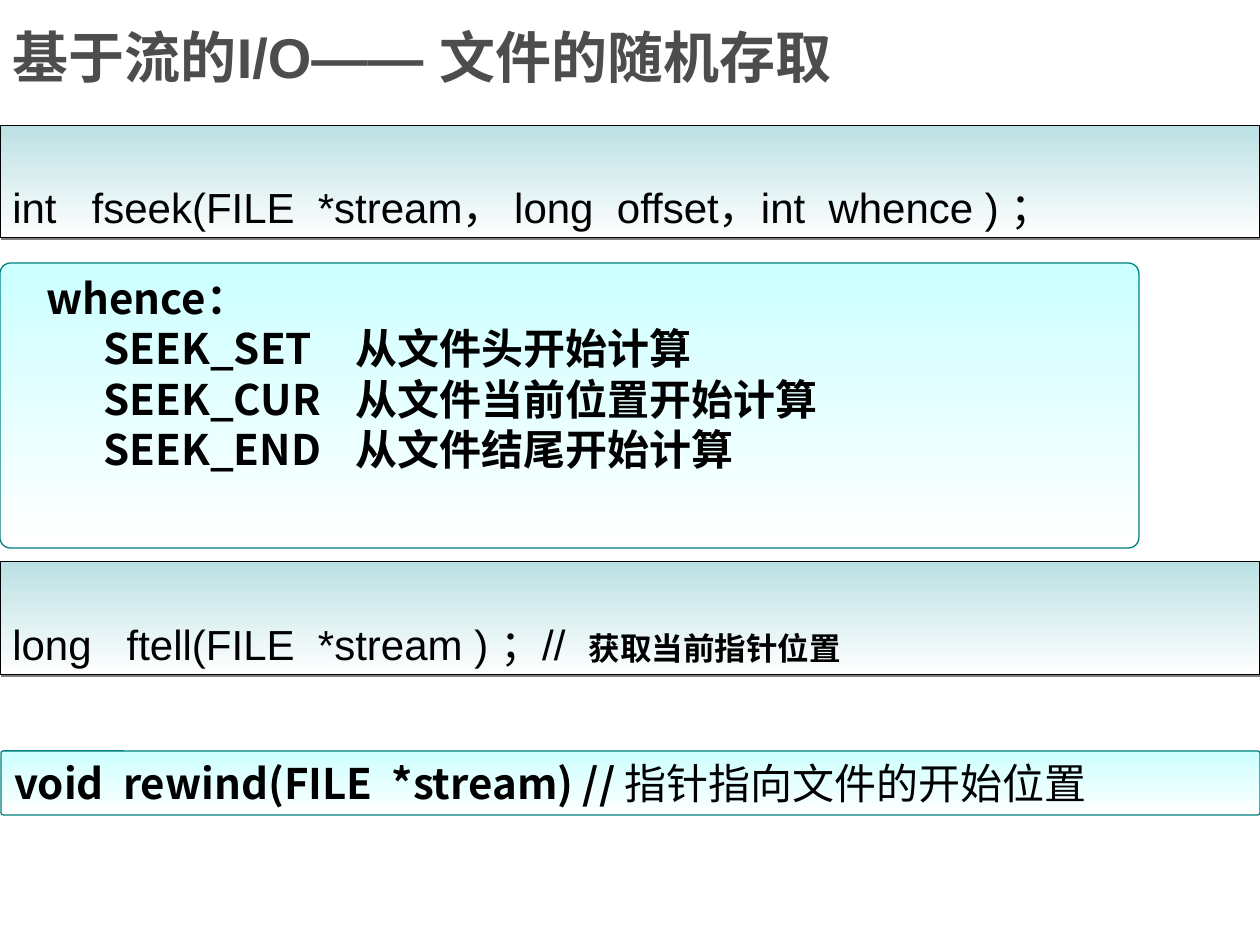
from lxml import etree
from pptx import Presentation, util as u
from pptx.dml.color import RGBColor
from pptx.enum import shapes, text
from pptx.oxml import parse_xml
from pptx.oxml.ns import nsdecls, qn

PX = u.Inches(1) // 126
CJK = "Noto Sans CJK SC"


def rgb(value):
    return RGBColor.from_string(value)


class SlideWriter:
    code_style = ("BBE0E3", "000000", 0.5)
    note_style = ("CCFFFF", "008080", 0.75)

    def __init__(self, slide):
        self.slide = slide

    def place(self, shape, box):
        shape.left, shape.top, shape.width, shape.height = [v * PX for v in box]

    def run(self, paragraph, words, size=24, latin="Arial", bold=False, color="000000"):
        run = paragraph.add_run()
        run.text = words
        font = run.font
        font.size, font.name, font.bold = u.Pt(size), latin, bold
        font.color.rgb = rgb(color)
        east = etree.SubElement(run._r.get_or_add_rPr(), qn("a:ea"))
        east.set("typeface", CJK)

    def title(self, words, box):
        heading = self.slide.shapes.title
        self.place(heading, box)
        frame = heading.text_frame
        frame.vertical_anchor = text.MSO_ANCHOR.BOTTOM
        frame.auto_size = text.MSO_AUTO_SIZE.NONE
        frame.paragraphs[0].alignment = text.PP_ALIGN.LEFT
        self.run(frame.paragraphs[0], words, 32, bold=True, color="4D4D4D")

    def panel(self, kind, box, style):
        top_color, line_color, line_width = style
        panel = self.slide.shapes.add_shape(kind, 0, 0, PX, PX)
        self.place(panel, box)
        panel.shadow.inherit = False
        panel.fill.gradient()
        panel.fill.gradient_angle = 270
        for stop, color, position in zip(panel.fill.gradient_stops, (top_color, "FFFFFF"), (0, 1)):
            stop.color.rgb = rgb(color)
            stop.position = position
        panel.line.color.rgb = rgb(line_color)
        panel.line.width = u.Pt(line_width)
        frame = panel.text_frame
        frame.word_wrap = True
        frame.vertical_anchor = text.MSO_ANCHOR.TOP
        frame.paragraphs[0].alignment = text.PP_ALIGN.LEFT
        return panel

    def code_panel(self, box):
        panel = self.panel(shapes.MSO_SHAPE.RECTANGLE, box, self.code_style)
        effects = panel._element.spPr.find(qn("a:effectLst"))
        effects.append(parse_xml(
            f'<a:outerShdw {nsdecls("a")} dist="17780" dir="2700000" algn="ctr" rotWithShape="0">'
            '<a:srgbClr val="808080"/></a:outerShdw>'))
        paragraph = panel.text_frame.paragraphs[0]
        paragraph.line_spacing = 2.0
        return paragraph

    def note_panel(self, box):
        panel = self.panel(shapes.MSO_SHAPE.ROUNDED_RECTANGLE, box, self.note_style)
        panel.adjustments[0] = 0.037
        return panel.text_frame

    def indent(self, paragraph, left, tab=None):
        properties = paragraph._p.get_or_add_pPr()
        properties.set("marL", str(left * PX))
        properties.set("indent", "0")
        if tab:
            stops = etree.SubElement(properties, qn("a:tabLst"))
            etree.SubElement(stops, qn("a:tab"), pos=str(tab * PX), algn="l")


def main():
    deck = Presentation()
    deck.slide_width, deck.slide_height = 1260 * PX, 945 * PX
    writer = SlideWriter(deck.slides.add_slide(deck.slide_layouts[5]))

    writer.title("基于流的I/O—— 文件的随机存取", (0, 0, 997, 96))

    fseek = writer.code_panel((0, 125, 1260, 113))
    writer.run(fseek, "int   fseek(FILE  *stream， long  offset，int  whence ) ；")

    whence = writer.note_panel((0, 263, 1139, 285))
    writer.indent(whence.paragraphs[0], 31)
    writer.run(whence.paragraphs[0], "whence：", latin=CJK, bold=True)
    for origin, meaning in (
        ("SEEK_SET", "从文件头开始计算"),
        ("SEEK_CUR", "从文件当前位置开始计算"),
        ("SEEK_END", "从文件结尾开始计算"),
    ):
        row = whence.add_paragraph()
        row.alignment = text.PP_ALIGN.LEFT
        writer.indent(row, 88, 411)
        writer.run(row, f"{origin}\t{meaning}", latin=CJK, bold=True)

    ftell = writer.code_panel((0, 562, 1260, 113))
    writer.run(ftell, "long   ftell(FILE  *stream ) ；//  ")
    writer.run(ftell, "获取当前指针位置", 18, "Arial Narrow", True)

    rewind = writer.note_panel((1, 751, 1259, 64)).paragraphs[0]
    writer.run(rewind, "void  rewind(FILE  *stream) // ", latin=CJK, bold=True)
    writer.run(rewind, "指针指向文件的开始位置", latin=CJK)

    deck.save("out.pptx")


if __name__ == "__main__":
    main()
